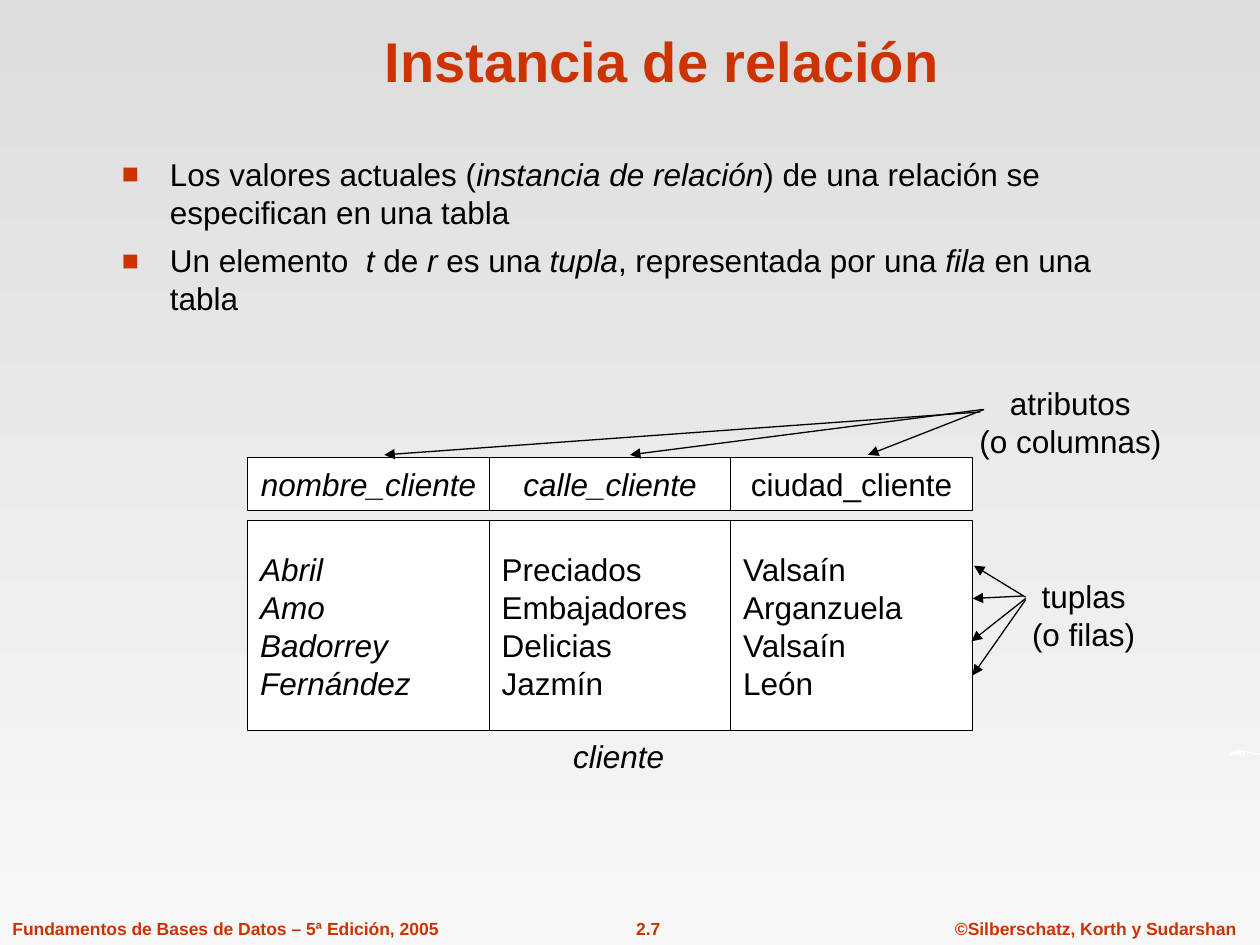
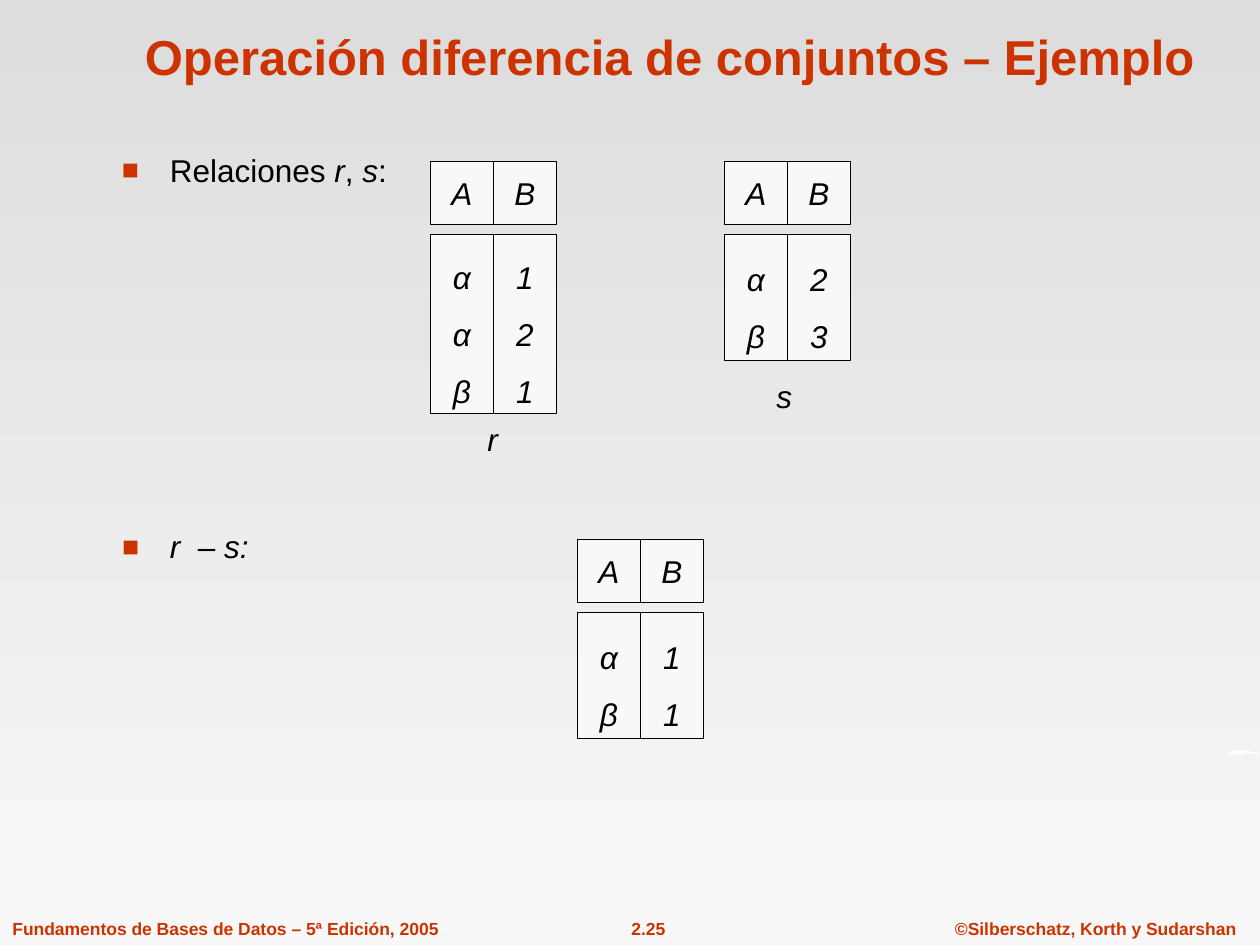
import pptx
import pptx.util
import pptx.dml.color
import pptx.enum.shapes
import pptx.enum.text
import pptx.oxml
import pptx.oxml.ns
import lxml.etree

Inches = pptx.util.Inches
Pt = pptx.util.Pt
ALIGN = pptx.enum.text.PP_ALIGN
ANCHOR = pptx.enum.text.MSO_ANCHOR

FONT = "Arial"
RED, BLACK, WHITE = "CC3300", "000000", "FFFFFF"
BACK_TOP, BACK_BOTTOM = "DDDDDD", "F8F8F8"
HEAD_GAP = 1 / 12
LINE_WIDTH = 0.75

FOOTERS = [
    ("Fundamentos de Bases de Datos – 5ª Edición, 2005", 0, 3.58, ALIGN.LEFT),
    ("©Silberschatz, Korth y Sudarshan", 7.48, 2.43, ALIGN.CENTER),
]
SWOOSH = [
    (9.75, 6.01), (9.76, 5.98), (9.79, 5.96), (9.84, 5.95), (9.89, 5.96),
    (9.94, 5.97), (10, 5.98), (9.98, 5.99), (9.93, 5.98), (9.88, 5.97),
    (9.88, 6), (9.85, 5.97), (9.85, 6), (9.82, 5.97), (9.83, 6),
    (9.8, 5.98), (9.76, 6),
]

SLIDES = [
    {
        "title": ("Instancia de relación", 32, (0.84, 0.12)),
        "number": "2.7",
        "bullets": [
            ((0.87, 1.18, 8.1, 2.16), 1.0, [
                "Los valores actuales (*instancia de relación*) de una relación se especifican en una tabla",
                "Un elemento  *t* de *r* es una *tupla*, representada por una *fila *en una tabla",
            ]),
        ],
        "relation_style": {"column_width": 5.75 / 3, "head_height": 5 / 12,
                           "fill": WHITE, "align": ALIGN.LEFT, "line_spacing": 1.0},
        "relations": [
            (5.9 / 3, 10.9 / 3, 5 / 3, [
                ("*nombre_cliente*", ["*Abril*", "*Amo*", "*Badorrey*", "*Fernández*"]),
                ("*calle_cliente*", ["Preciados", "Embajadores", "Delicias", "Jazmín"]),
                ("ciudad_cliente", ["Valsaín", "Arganzuela", "Valsaín", "León"]),
            ]),
        ],
        "labels": [
            (["*cliente*"], (4.45, 5.8, 0.92, 0.4)),
            (["atributos", "(o columnas)"], (7.67, 3, 1.65, 0.7)),
            (["tuplas", "(o filas)"], (8.09, 4.53, 1.02, 0.7)),
        ],
        "arrows": [
            ((7.78, 3.27), (3.05, 3.61)), ((7.8, 3.25), (5, 3.61)),
            ((7.81, 3.25), (6.89, 3.61)), ((8.14, 4.74), (7.73, 4.49)),
            ((8.12, 4.73), (7.72, 4.75)), ((8.14, 4.75), (7.71, 5.09)),
            ((8.14, 4.76), (7.72, 5.36)),
        ],
    },
    {
        "title": ("Operación diferencia de conjuntos – Ejemplo", 28, (0.9, 0.06)),
        "number": "2.25",
        "bullets": [
            ((0.87, 1.18, 7.5, 0.37), 0.9, ["Relaciones *r*, *s*:"]),
            ((0.87, 4.17, 7.69, 0.36), 0.9, ["*r  – s:*"]),
        ],
        "relation_style": {"column_width": 0.5, "head_height": 0.5,
                           "fill": BACK_BOTTOM, "align": ALIGN.CENTER, "line_spacing": 1.5},
        "relations": [
            (41 / 12, 1.28, 1.42, [("*A*", ["*α*", "*α*", "*β*"]), ("*B*", ["*1*", "*2*", "*1*"])]),
            (5.75, 1.28, 1, [("*A*", ["*α*", "*β*"]), ("*B*", ["*2*", "*3*"])]),
            (55 / 12, 4.28, 1, [("*A*", ["*α*", "*β*"]), ("*B*", ["*1*", "*1*"])]),
        ],
        "labels": [
            (["*r*"], (3.77, 3.28, 0.28, 0.4)),
            (["*s*"], (6.06, 2.94, 0.33, 0.4)),
        ],
        "arrows": [],
    },
]


def color(value):
    return pptx.dml.color.RGBColor.from_string(value)


def add_element(parent, tag, **attributes):
    element = lxml.etree.SubElement(parent, pptx.oxml.ns.qn(tag))
    for name, value in attributes.items():
        element.set(name, value)
    return element


def write(shape, lines, size=18, ink=BLACK, bold=False, align=ALIGN.CENTER,
          anchor=ANCHOR.TOP, wrap=False, line_spacing=1.0, bullet=False):
    frame = shape.text_frame
    frame.word_wrap = wrap
    frame.vertical_anchor = anchor
    for index, line in enumerate(lines):
        para = frame.add_paragraph() if index else frame.paragraphs[0]
        if bullet:
            add_bullet(para)
            if index:
                para.space_before = Pt(0.35 * size)
        para.alignment = align
        para.line_spacing = line_spacing
        for part, text in enumerate(line.split("*")):
            if text:
                span = para.add_run()
                span.text = text
                span.font.name = FONT
                span.font.size = Pt(size)
                span.font.bold = bold
                span.font.italic = part % 2 == 1
                span.font.color.rgb = color(ink)


def add_bullet(para):
    properties = para._p.get_or_add_pPr()
    properties.set("marL", str(Inches(0.38)))
    properties.set("indent", str(-Inches(0.38)))
    add_element(add_element(properties, "a:buClr"), "a:srgbClr", val=RED)
    add_element(properties, "a:buSzPct", val="90000")
    add_element(properties, "a:buFont", typeface=FONT)
    add_element(properties, "a:buChar", char="■")


def add_text(page, place, lines, **style):
    box = page.shapes.add_textbox(*map(Inches, place))
    write(box, lines, **style)


def add_cell(page, place, lines, fill, **style):
    cell = page.shapes.add_shape(pptx.enum.shapes.MSO_SHAPE.RECTANGLE, *map(Inches, place))
    cell.shadow.inherit = False
    cell.fill.solid()
    cell.fill.fore_color.rgb = color(fill)
    cell.line.color.rgb = color(BLACK)
    cell.line.width = Pt(LINE_WIDTH)
    write(cell, lines, anchor=ANCHOR.MIDDLE, **style)


def add_relation(page, left, top, body_height, columns, column_width, head_height,
                 fill, align, line_spacing):
    body_top = top + head_height + HEAD_GAP
    for index, (head, values) in enumerate(columns):
        x = left + index * column_width
        add_cell(page, (x, body_top, column_width, body_height), values, fill,
                 align=align, line_spacing=line_spacing)
        add_cell(page, (x, top, column_width, head_height), [head], fill)


def add_arrow(page, start, end):
    arrow = page.shapes.add_connector(
        pptx.enum.shapes.MSO_CONNECTOR.STRAIGHT, *map(Inches, start + end))
    arrow.line.color.rgb = color(BLACK)
    arrow.line.width = Pt(LINE_WIDTH)
    add_element(arrow.line._get_or_add_ln(), "a:tailEnd", type="triangle")
    add_element(arrow._element.spPr, "a:effectLst")


def add_swoosh(page):
    points = [(Inches(x), Inches(y)) for x, y in SWOOSH]
    outline = page.shapes.build_freeform(*points[0])
    outline.add_line_segments(points[1:], close=True)
    swoosh = outline.convert_to_shape()
    swoosh.shadow.inherit = False
    swoosh.fill.solid()
    swoosh.fill.fore_color.rgb = color(WHITE)
    swoosh.line.fill.background()


def add_base(page, number):
    fill = page.background.fill
    fill.gradient()
    fill.gradient_angle = 270
    for stop, shade in zip(fill.gradient_stops, (BACK_TOP, BACK_BOTTOM)):
        stop.color.rgb = color(shade)
    add_swoosh(page)
    for text, left, width, align in FOOTERS + [(number, 4.9, 0.49, ALIGN.CENTER)]:
        add_text(page, (left, 7.24, width, 0.26), [text],
                 size=10, ink=RED, bold=True, align=align)


def add_page(deck, content):
    page = deck.slides.add_slide(deck.slide_layouts[6])
    add_base(page, content["number"])
    title, size, corner = content["title"]
    add_text(page, corner + (8.83, 0.67), [title], size=size, ink=RED, bold=True,
             anchor=ANCHOR.BOTTOM, wrap=True)
    for place, line_spacing, lines in content["bullets"]:
        add_text(page, place, lines, align=ALIGN.LEFT, wrap=True,
                 line_spacing=line_spacing, bullet=True)
    for relation in content["relations"]:
        add_relation(page, *relation, **content["relation_style"])
    for lines, place in content["labels"]:
        add_text(page, place, lines, anchor=ANCHOR.MIDDLE)
    for start, end in content["arrows"]:
        add_arrow(page, start, end)


def main():
    deck = pptx.Presentation()
    deck.slide_width, deck.slide_height = Inches(10), Inches(7.5)
    for content in SLIDES:
        add_page(deck, content)
    deck.save("out.pptx")


if __name__ == "__main__":
    main()
